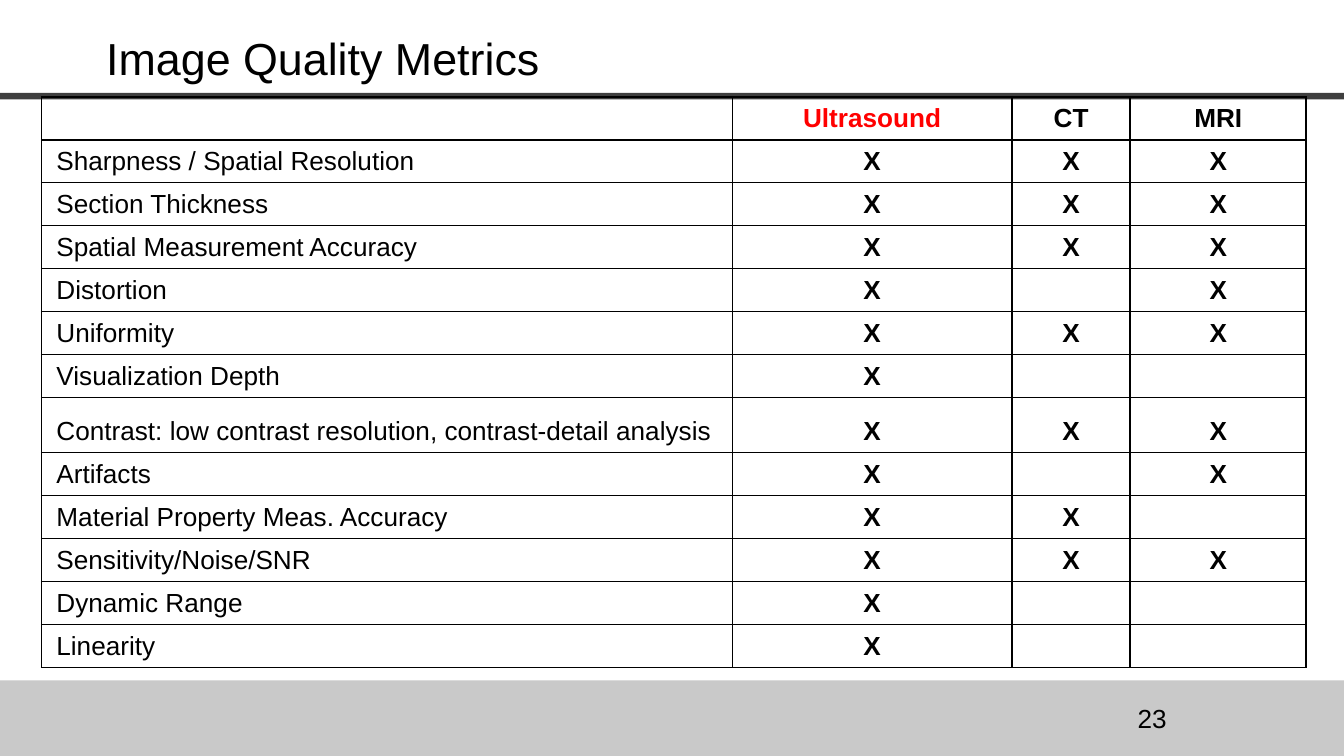
from lxml import etree
from pptx import Presentation
from pptx.dml.color import RGBColor
from pptx.enum.shapes import MSO_SHAPE
from pptx.enum.text import MSO_ANCHOR, PP_ALIGN
from pptx.oxml.ns import qn
from pptx.util import Inches, Pt

RECTANGLE = MSO_SHAPE.RECTANGLE
MIDDLE, BOTTOM = MSO_ANCHOR.MIDDLE, MSO_ANCHOR.BOTTOM
LEFT, CENTER, RIGHT = PP_ALIGN.LEFT, PP_ALIGN.CENTER, PP_ALIGN.RIGHT

COLORS = {"text": "000000", "accent": "FF0000", "rule": "3F3F3F", "footer": "C9C9C9"}
FONT = "Arial"
BODY_SIZE = 14
WIDTH = 10
HEIGHT = WIDTH * 9 / 16
COLUMNS = [5.14, 2.08, 0.88, 1.31]
ROW, TALL_ROW = 0.32, 0.41
TALL_METRIC = "Contrast: low contrast resolution, contrast-detail analysis"
HEADER = ["", "Ultrasound", "CT", "MRI"]
METRICS = [
    ("Sharpness / Spatial Resolution", "XXX"),
    ("Section Thickness", "XXX"),
    ("Spatial Measurement Accuracy", "XXX"),
    ("Distortion", "X X"),
    ("Uniformity", "XXX"),
    ("Visualization Depth", "X  "),
    (TALL_METRIC, "XXX"),
    ("Artifacts", "X X"),
    ("Material Property Meas. Accuracy", "XX "),
    ("Sensitivity/Noise/SNR", "XXX"),
    ("Dynamic Range", "X  "),
    ("Linearity", "X  "),
]


def set_values(target, values):
    for name, value in values.items():
        setattr(target, name, value)


def place(item, box):
    names = ("left", "top", "width", "height")
    set_values(item, dict(zip(names, map(Inches, box))))


def write(frame, text, size, align=LEFT, bold=False, color="text"):
    para = frame.paragraphs[0]
    para.alignment = align
    if not text:
        ending = etree.SubElement(para._p, qn("a:endParaRPr"), sz=str(size * 100))
        etree.SubElement(ending, qn("a:latin"), typeface=FONT)
        return para
    span = para.add_run()
    span.text = text
    set_values(span.font, {"name": FONT, "size": Pt(size), "bold": bold})
    span.font.color.rgb = RGBColor.from_string(COLORS[color])
    return para


def add_band(page, box, color):
    band = page.shapes.add_shape(RECTANGLE, *map(Inches, box))
    band.shadow.inherit = False
    band.fill.solid()
    band.fill.fore_color.rgb = RGBColor.from_string(COLORS[color])
    band.line.fill.background()


def add_heading(page, box):
    title = page.shapes.title
    place(title, box)
    set_values(title.text_frame, {"vertical_anchor": MIDDLE, "word_wrap": True})
    para = write(title.text_frame, "Image Quality Metrics", 24)
    para.line_spacing = 0.9


def add_page_number(page, box):
    number = page.shapes.add_textbox(*map(Inches, box))
    set_values(number.text_frame, {"vertical_anchor": MIDDLE, "word_wrap": True})
    write(number.text_frame, "23", BODY_SIZE, RIGHT)


def add_borders(cell):
    properties = cell._tc.get_or_add_tcPr()
    for side in ("lnL", "lnR", "lnT", "lnB"):
        line = etree.SubElement(properties, qn(f"a:{side}"), w=str(Pt(1)))
        fill = etree.SubElement(line, qn("a:solidFill"))
        etree.SubElement(fill, qn("a:srgbClr"), val=COLORS["text"])


def add_metrics_table(page, box):
    rows = [HEADER] + [[metric, *marks] for metric, marks in METRICS]
    frame = page.shapes.add_table(len(rows), len(COLUMNS), *map(Inches, box))
    table = frame.table
    set_values(table, {"first_row": False, "horz_banding": False})
    left, top, width, height = box
    for column, share in zip(table.columns, COLUMNS):
        column.width = Inches(width * share / sum(COLUMNS))
    for row, values in zip(table.rows, rows):
        row.height = Inches(TALL_ROW if values[0] == TALL_METRIC else ROW)
        for index, (cell, text) in enumerate(zip(row.cells, values)):
            add_borders(cell)
            cell.fill.background()
            set_values(cell, {
                "vertical_anchor": BOTTOM,
                "margin_left": Inches(0.11), "margin_right": Inches(0.11),
                "margin_top": Inches(0.03), "margin_bottom": Inches(0.05),
            })
            write(cell.text_frame, text.strip(), BODY_SIZE,
                  CENTER if index else LEFT, index > 0,
                  "accent" if text == "Ultrasound" else "text")


def main():
    deck = Presentation()
    set_values(deck, {"slide_width": Inches(WIDTH), "slide_height": Inches(HEIGHT)})
    page = deck.slides.add_slide(deck.slide_layouts[5])
    table_height = ROW * len(METRICS) + TALL_ROW
    add_band(page, (0, 0.9 * HEIGHT, WIDTH, 0.1 * HEIGHT), "footer")
    add_band(page, (0, 0.69, WIDTH, 0.05), "rule")
    add_heading(page, (0.69, 0.23, WIDTH - 2 * 0.69, 0.45))
    add_page_number(page, (8.31, 5.19, 0.47, 0.31))
    add_metrics_table(page, (0.31, 0.72, sum(COLUMNS), table_height))
    deck.save("out.pptx")


if __name__ == "__main__":
    main()
